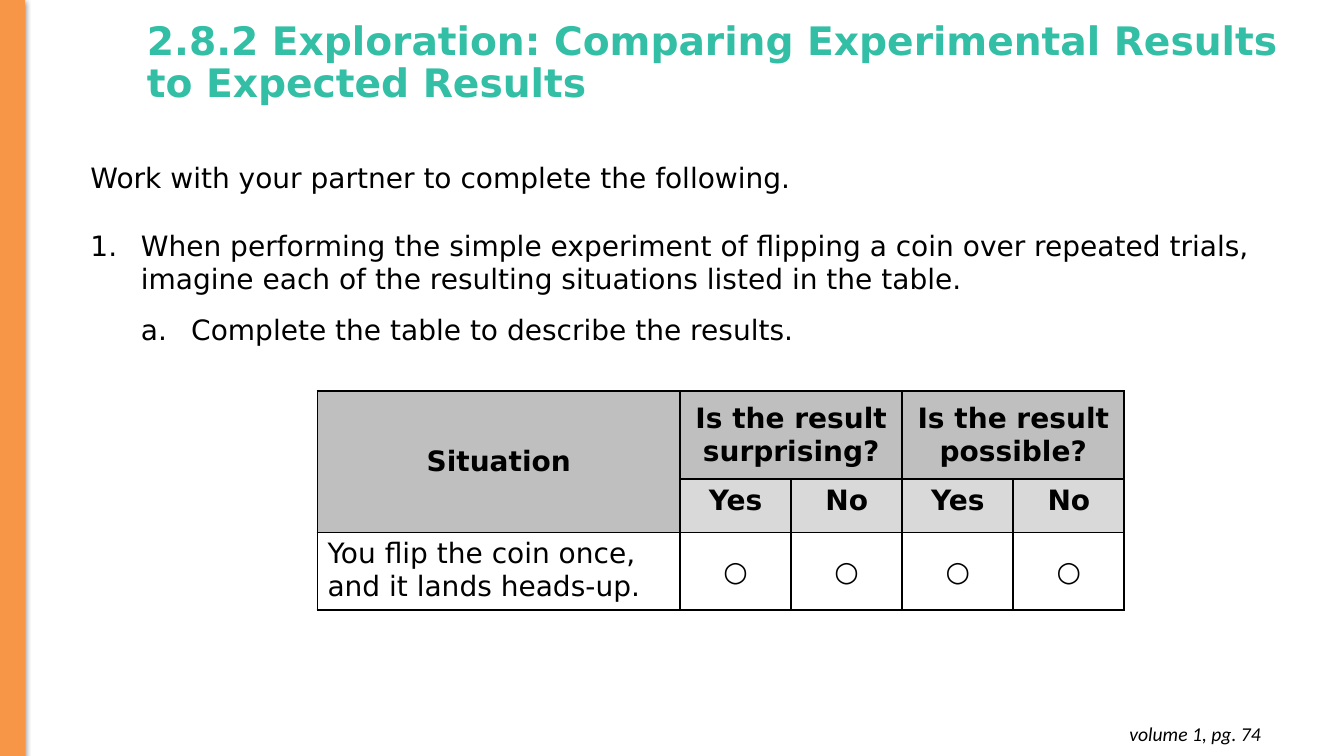
import dataclasses

import lxml.etree
import pptx
import pptx.dml.color
import pptx.enum.shapes
import pptx.enum.text
import pptx.oxml
import pptx.oxml.ns
import pptx.util

Cm = pptx.util.Cm
Pt = pptx.util.Pt
ALIGN = pptx.enum.text.PP_ALIGN
ANCHOR = pptx.enum.text.MSO_ANCHOR
NAMESPACE = pptx.oxml.ns.nsdecls("a")


@dataclasses.dataclass(frozen=True)
class Theme:
    title_color: str = "33BEA6"
    text_color: str = "000000"
    accent: str = "F79647"
    header_fill: str = "BFBFBF"
    answer_fill: str = "D9D9D9"
    font: str = "DejaVu Sans"
    footer_font: str = "Calibri"
    title_size: int = 28
    body_size: int = 20
    footer_size: int = 14
    border_width: float = 1.5


class SlideBuilder:
    def __init__(self, deck, theme):
        self.theme = theme
        self.slide = deck.slides.add_slide(deck.slide_layouts[5])

    def apply(self, target, values):
        for name, value in values.items():
            setattr(target, name, value)

    def add_text(self, para, text, para_format=None, **font_format):
        color = font_format.pop("color", self.theme.text_color)
        self.apply(para, para_format or {})
        span = para.add_run()
        span.text = text
        values = {"name": self.theme.font, "size": Pt(self.theme.body_size), "bold": False}
        self.apply(span.font, values | font_format)
        span.font.color.rgb = pptx.dml.color.RGBColor.from_string(color)

    def frame(self, box, anchor, inset):
        values = {"word_wrap": True, "auto_size": pptx.enum.text.MSO_AUTO_SIZE.NONE,
                  "vertical_anchor": anchor, "margin_top": Cm(inset), "margin_bottom": Cm(inset)}
        self.apply(box.text_frame, values)
        return box.text_frame

    def title(self, text, left, top, width, height):
        box = self.slide.shapes.title
        self.apply(box, {"left": Cm(left), "top": Cm(top), "width": Cm(width), "height": Cm(height)})
        para = self.frame(box, ANCHOR.MIDDLE, 0.13).paragraphs[0]
        self.add_text(para, text, {"alignment": ALIGN.LEFT, "line_spacing": 0.9},
                      size=Pt(self.theme.title_size), bold=True, color=self.theme.title_color)

    def text_box(self, left, top, width, height, inset=0.13):
        box = self.slide.shapes.add_textbox(Cm(left), Cm(top), Cm(width), Cm(height))
        return self.frame(box, ANCHOR.TOP, inset)

    def numbered(self, frame, text, scheme, level, space):
        para = frame.add_paragraph()
        para.level = level
        properties = para._p.get_or_add_pPr()
        properties.set("marL", str(Cm(1.27 * (level + 1))))
        properties.set("indent", str(Cm(-1.27)))
        lxml.etree.SubElement(properties, pptx.oxml.ns.qn("a:buAutoNum"), type=scheme)
        self.add_text(para, text, {"space_before": Pt(space)})

    def bar(self, left, top, width, height):
        bar = self.slide.shapes.add_shape(pptx.enum.shapes.MSO_SHAPE.RECTANGLE,
                                          Cm(left), Cm(top), Cm(width), Cm(height))
        accent = pptx.dml.color.RGBColor.from_string(self.theme.accent)
        bar.fill.solid()
        bar.fill.fore_color.rgb = accent
        bar.line.color.rgb = accent
        bar.line.width = Pt(0.75)
        bar._element.spPr.append(pptx.oxml.parse_xml(
            f'<a:effectLst {NAMESPACE}><a:outerShdw blurRad="{Pt(4.5)}" dist="{Pt(1.5)}" '
            f'dir="5400000" rotWithShape="0"><a:srgbClr val="{self.theme.text_color}">'
            '<a:alpha val="50000"/></a:srgbClr></a:outerShdw></a:effectLst>'))

    def table(self, left, top, widths, heights):
        table = self.slide.shapes.add_table(len(heights), len(widths), Cm(left), Cm(top),
                                            Cm(sum(widths)), Cm(sum(heights))).table
        self.apply(table, {"first_row": False, "horz_banding": False})
        for column, width in zip(table.columns, widths):
            column.width = Cm(width)
        for row, height in zip(table.rows, heights):
            row.height = Cm(height)
        for cell in table.iter_cells():
            cell.fill.background()
            properties = cell._tc.get_or_add_tcPr()
            for position, side in enumerate("LRTB"):
                properties.insert(position, pptx.oxml.parse_xml(
                    f'<a:ln{side} {NAMESPACE} w="{Pt(self.theme.border_width)}"><a:solidFill>'
                    f'<a:srgbClr val="{self.theme.text_color}"/></a:solidFill></a:ln{side}>'))
        return table

    def cell(self, cell, text, fill=None, bold=False, align=ALIGN.CENTER,
             anchor=ANCHOR.MIDDLE, inset=0.13):
        self.apply(cell, {"vertical_anchor": anchor, "margin_top": Cm(inset),
                          "margin_bottom": Cm(inset)})
        if fill:
            cell.fill.solid()
            cell.fill.fore_color.rgb = pptx.dml.color.RGBColor.from_string(fill)
        self.add_text(cell.text_frame.paragraphs[0], text, {"alignment": align}, bold=bold)


def main():
    deck = pptx.Presentation()
    deck.slide_width, deck.slide_height = Cm(33.87), Cm(19.05)
    theme = Theme()
    page = SlideBuilder(deck, theme)

    page.title("2.8.2 Exploration: Comparing Experimental Results to Expected Results",
               3.45, 0.41, 29.41, 2.41)

    task = page.text_box(2.03, 3.91, 30.43, 4.95)
    page.add_text(task.paragraphs[0], "Work with your partner to complete the following.")
    page.numbered(task, "When performing the simple experiment of flipping a coin over repeated "
                  "trials, imagine each of the resulting situations listed in the table.",
                  "arabicPeriod", 0, 24.5)
    page.numbered(task, "Complete the table to describe the results.", "alphaLcPeriod", 1, 12)

    page.bar(0, 0, 0.61, 19.08)

    results = page.table(8, 9.86, [9.14] + [2.8] * 4, [2.21, 1.35, 1.96])
    header = {"fill": theme.header_fill, "bold": True, "inset": 0.25}
    results.cell(0, 0).merge(results.cell(1, 0))
    page.cell(results.cell(0, 0), "Situation", **header)
    for column, question in ((1, "Is the result surprising?"), (3, "Is the result possible?")):
        results.cell(0, column).merge(results.cell(0, column + 1))
        page.cell(results.cell(0, column), question, **header)
        for offset, answer in enumerate(("Yes", "No")):
            page.cell(results.cell(1, column + offset), answer, fill=theme.answer_fill,
                      bold=True, anchor=ANCHOR.TOP)
            page.cell(results.cell(2, column + offset), "○")
    page.cell(results.cell(2, 0), "You flip the coin once, and it lands heads-up.",
              align=ALIGN.LEFT, anchor=ANCHOR.TOP)

    footer = page.text_box(24.71, 17.93, 7.32, 1.12, inset=0.25)
    page.add_text(footer.paragraphs[0], "volume 1, pg. 74", {"alignment": ALIGN.RIGHT},
                  name=theme.footer_font, size=Pt(theme.footer_size), italic=True)

    deck.save("out.pptx")


if __name__ == "__main__":
    main()
